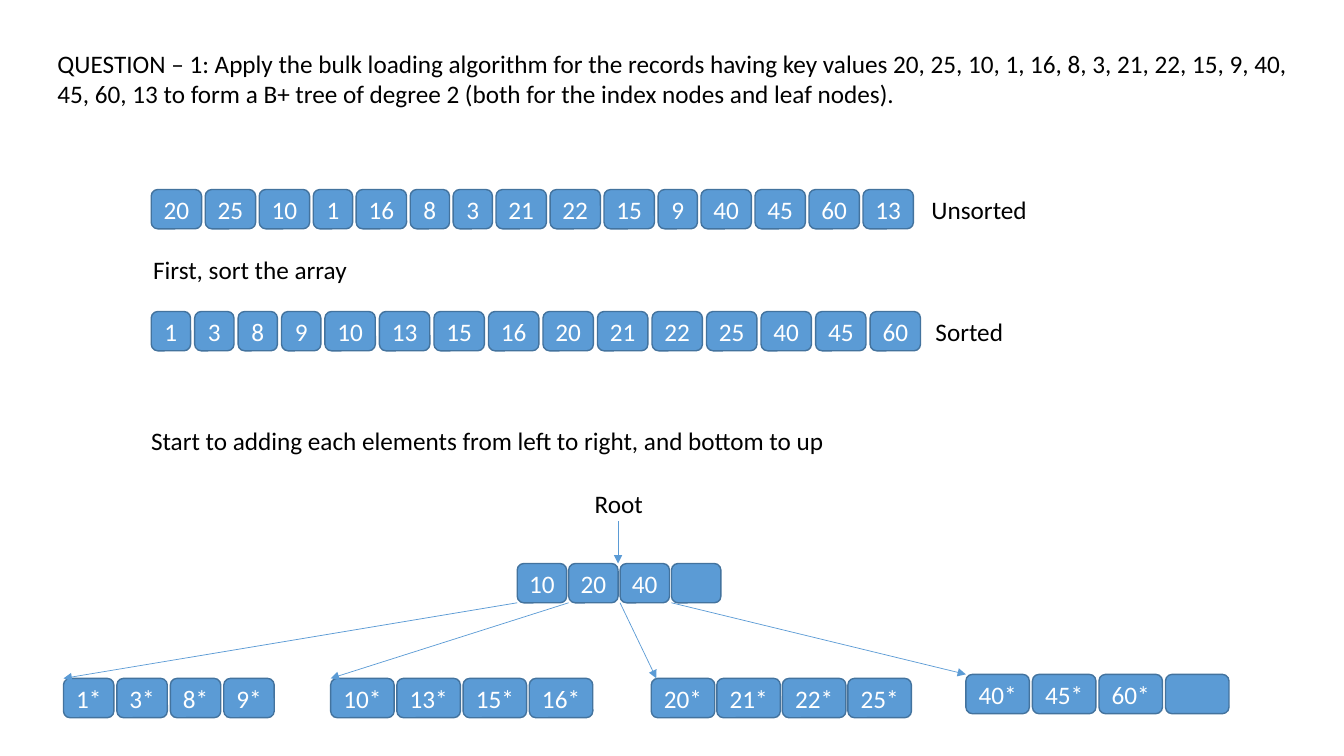
from pptx import Presentation
from pptx import util as u
from pptx.dml.color import RGBColor
from pptx.enum import shapes, text
from pptx.oxml.ns import qn
from lxml import etree

BLUE = RGBColor(0x5B, 0x9B, 0xD5)
EDGE = RGBColor(0x43, 0x73, 0x9E)
WHITE = RGBColor(0xFF, 0xFF, 0xFF)
BLACK = RGBColor(0, 0, 0)
FONT = "Calibri"
CELL_HEIGHT = 0.39

QUESTION = (
    "QUESTION – 1: Apply the bulk loading algorithm for the records having key values "
    "20, 25, 10, 1, 16, 8, 3, 21, 22, 15, 9, 40, 45, 60, 13 to form a B+ tree of degree 2 "
    "(both for the index nodes and leaf nodes)."
)
UNSORTED = [20, 25, 10, 1, 16, 8, 3, 21, 22, 15, 9, 40, 45, 60, 13]
LABELS = [
    ("First, sort the array", 1.42, 2.47, 2.14),
    ("Unsorted", 9.14, 1.88, 2),
    ("Sorted", 9.18, 3.09, 2),
    ("Start to adding each elements from left to right, and bottom to up", 1.4, 4.17, 10.67),
    ("Root", 5.8, 4.8, 0.68),
]
ROOT_KEYS = ["10", "20", "40", ""]
LEAVES = [
    (["1*", "3*", "8*", "9*"], 0.63, 2.72, 6.73, 0.5, 0.63),
    (["10*", "13*", "15*", "16*"], 3.28, 5.88, 6.73, 0.63, 3.28),
    (["20*", "21*", "22*", "25*"], 6.46, 9.04, 6.73, 0.63, 6.51),
    (["40*", "45*", "60*", ""], 9.58, 12.19, 6.69, 0.63, 9.58),
]


def style_text(para, colour):
    para.font.name = FONT
    para.font.size = u.Pt(18)
    para.font.color.rgb = colour


def add_question(page):
    title = page.shapes.title
    title.left, title.top = u.Inches(0.47), u.Inches(0.43)
    title.width, title.height = u.Inches(12.41), u.Inches(0.71)
    frame = title.text_frame
    frame.text = QUESTION
    frame.auto_size = text.MSO_AUTO_SIZE.NONE
    frame.vertical_anchor = text.MSO_ANCHOR.TOP
    para = frame.paragraphs[0]
    para.alignment = text.PP_ALIGN.LEFT
    style_text(para, BLACK)


def add_label(page, words, left, top, width):
    box = page.shapes.add_textbox(
        u.Inches(left), u.Inches(top), u.Inches(width), u.Inches(0.4))
    box.text_frame.word_wrap = True
    box.text_frame.text = words
    style_text(box.text_frame.paragraphs[0], BLACK)


def add_cell(page, key, left, top, width):
    cell = page.shapes.add_shape(
        shapes.MSO_SHAPE.ROUNDED_RECTANGLE,
        u.Inches(left), u.Inches(top), u.Inches(width), u.Inches(CELL_HEIGHT))
    cell.shadow.inherit = False
    cell.fill.solid()
    cell.fill.fore_color.rgb = BLUE
    cell.line.color.rgb = EDGE
    cell.line.width = u.Pt(1)
    frame = cell.text_frame
    frame.margin_left = frame.margin_right = 0
    frame.vertical_anchor = text.MSO_ANCHOR.MIDDLE
    para = frame.paragraphs[0]
    para.text = key
    para.alignment = text.PP_ALIGN.CENTER
    style_text(para, WHITE)


def add_row(page, keys, left, right, top, widths):
    gap = (right - left - sum(widths)) / (len(keys) - 1)
    starts = []
    for key, width in zip(keys, widths):
        starts.append(left)
        add_cell(page, key, left, top, width)
        left += width + gap
    return starts


def add_array(page, numbers, right, top):
    keys = [str(number) for number in numbers]
    widths = [0.39 if len(key) == 1 else 0.5 for key in keys]
    add_row(page, keys, 1.5, right, top, widths)


def add_arrow(page, x1, y1, x2, y2):
    arrow = page.shapes.add_connector(
        shapes.MSO_CONNECTOR.STRAIGHT,
        u.Inches(x1), u.Inches(y1), u.Inches(x2), u.Inches(y2))
    arrow.line.color.rgb = BLUE
    arrow.line.width = u.Pt(0.5)
    properties = arrow._element.spPr
    etree.SubElement(properties.find(qn("a:ln")), qn("a:tailEnd"), type="triangle")
    etree.SubElement(properties, qn("a:effectLst"))


def add_tree(page):
    root_top = 5.59
    pointers = add_row(page, ROOT_KEYS, 5.13, 7.15, root_top, [0.49] * 4)
    add_arrow(page, 6.13, 5.17, 6.13, root_top)
    for pointer, (keys, left, right, top, width, target) in zip(pointers, LEAVES):
        add_row(page, keys, left, right, top, [width] * 4)
        add_arrow(page, pointer, root_top + CELL_HEIGHT, target, top)


def main():
    deck = Presentation()
    deck.slide_width, deck.slide_height = u.Inches(13.33), u.Inches(7.5)
    page = deck.slides.add_slide(deck.slide_layouts[5])
    add_question(page)
    add_array(page, UNSORTED, 9.06, 1.88)
    add_array(page, sorted(UNSORTED), 9.13, 3.09)
    for label in LABELS:
        add_label(page, *label)
    add_tree(page)
    deck.save("out.pptx")


main()
